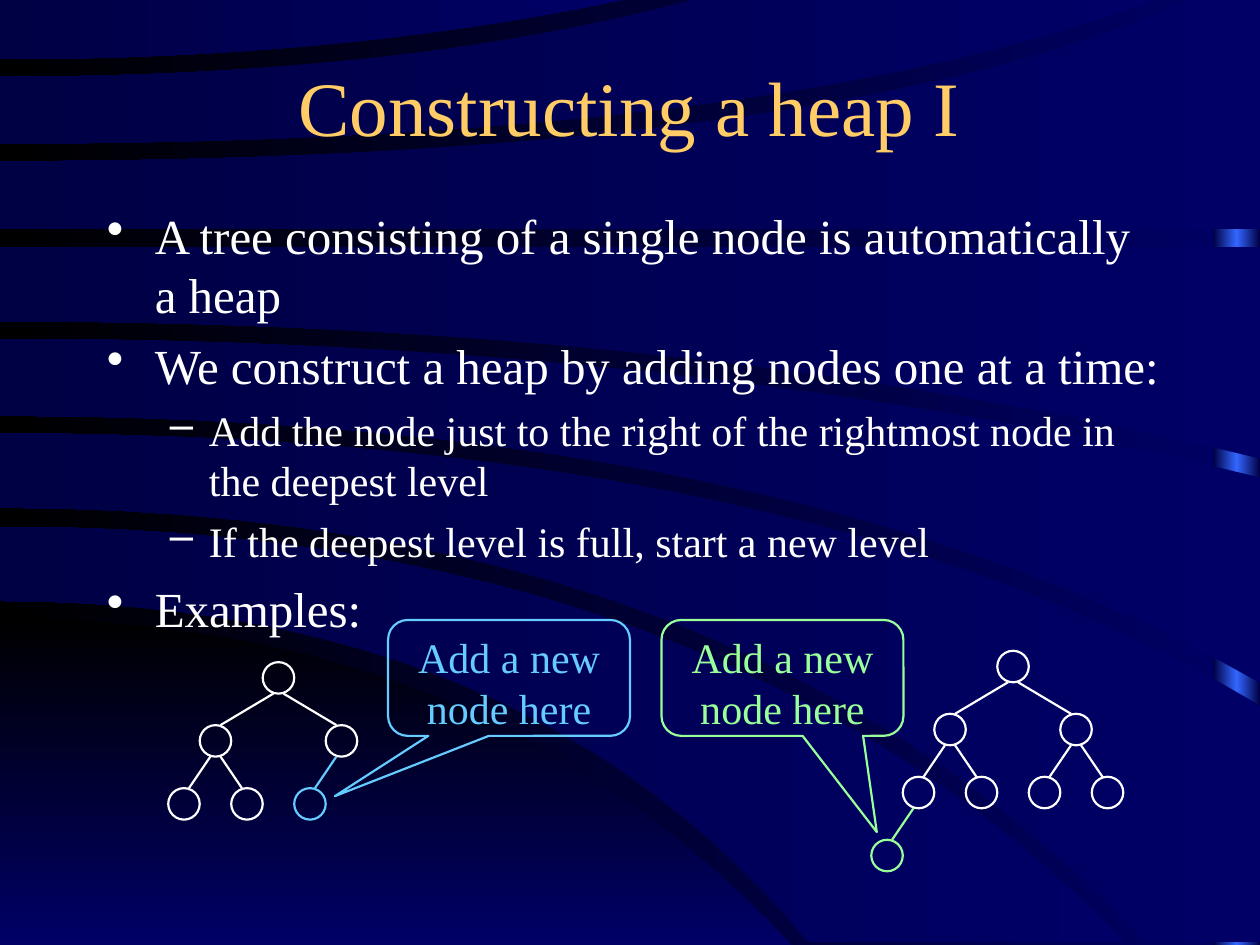
from copy import deepcopy
from dataclasses import dataclass

from lxml import etree
from pptx import Presentation
from pptx.dml.color import RGBColor
from pptx.dml.fill import FillFormat
from pptx.enum.shapes import MSO_CONNECTOR, MSO_SHAPE
from pptx.enum.text import MSO_ANCHOR, PP_ALIGN
from pptx.oxml.ns import qn
from pptx.shapes.autoshape import Shape
from pptx.slide import Slide
from pptx.text.text import TextFrame
from pptx.util import Inches, Pt

RECTANGLE, OVAL = MSO_SHAPE.RECTANGLE, MSO_SHAPE.OVAL
CALLOUT = MSO_SHAPE.ROUNDED_RECTANGULAR_CALLOUT
STRAIGHT = MSO_CONNECTOR.STRAIGHT
TOP, MIDDLE = MSO_ANCHOR.TOP, MSO_ANCHOR.MIDDLE
LEFT, CENTER = PP_ALIGN.LEFT, PP_ALIGN.CENTER

BLACK = RGBColor(0x00, 0x00, 0x00)
WHITE = RGBColor(0xFF, 0xFF, 0xFF)
NAVY = RGBColor(0x00, 0x00, 0x66)
DEEP_NAVY = RGBColor(0x00, 0x00, 0x44)
BRIGHT_BLUE = RGBColor(0x33, 0x66, 0xFF)
GOLD = RGBColor(0xFF, 0xCC, 0x66)
SKY = RGBColor(0x66, 0xCC, 0xFF)
MINT = RGBColor(0x99, 0xFF, 0x99)

FONT = "Times New Roman"
LINE_WIDTH = Pt(1.25)
NODE_SIZE = 0.25
LEVEL_GAP = 0.5
SPREADS = (0, 0.5, 0.25, 0.25)
EDGE_INSET = 0.04
CURVE_STEPS = 24

Point = tuple[float, float]


@dataclass(frozen=True)
class Curve:
    start_y: float
    bend_x: float
    end_x: float
    end_y: float

    def points(self) -> list[Point]:
        steps = [step / CURVE_STEPS for step in range(CURVE_STEPS + 1)]
        return [(2 * t * (1 - t) * self.bend_x + t * t * self.end_x,
                 self.start_y + t * t * (self.end_y - self.start_y)) for t in steps]


@dataclass(frozen=True)
class Band:
    upper: Curve
    lower: Curve
    start: RGBColor = NAVY
    end: RGBColor = DEEP_NAVY
    angle: int = 180

    def points(self) -> list[Point]:
        rising = self.upper.end_y < self.upper.start_y
        pick_y = min if rising else max
        corner = (max(self.upper.end_x, self.lower.end_x),
                  pick_y(self.upper.end_y, self.lower.end_y))
        return [*self.upper.points(), corner, *reversed(self.lower.points())]


@dataclass(frozen=True)
class Bullet:
    text: str
    level: int = 0


@dataclass(frozen=True)
class BulletStyle:
    mark: str
    size: int
    before: int
    margin: float
    hanging: float


@dataclass(frozen=True)
class Example:
    root: Point
    old_nodes: int
    callout_left: float
    pointer: Point
    accent: RGBColor


BANDS = (
    Band(Curve(4.91, 3.9, 6.28, 7.5), Curve(7.5, 3, 6.28, 7.5), BLACK, NAVY, 270),
    Band(Curve(4.18, 5.74, 8.93, 7.48), Curve(4.77, 4.19, 6.42, 7.48)),
    Band(Curve(3.44, 6.4, 10, 5.6), Curve(4.03, 5.9, 9.09, 7.48)),
    Band(Curve(2.69, 5.5, 10, 3.79), Curve(3.3, 6.3, 10, 5.42)),
    Band(Curve(1.96, 5, 10, 1.96), Curve(2.55, 5.6, 10, 3.64)),
    Band(Curve(1.28, 6.6, 9.43, 0), Curve(1.82, 5, 10, 1.82)),
    Band(Curve(0.61, 3.25, 5.5, 0), Curve(1.14, 6.1, 9.17, 0)),
    Band(Curve(0, 2.5, 4.95, 0), Curve(0.47, 2.7, 4.95, 0)),
)
BULLETS = (
    Bullet("A tree consisting of a single node is automatically a heap"),
    Bullet("We construct a heap by adding nodes one at a time:"),
    Bullet("Add the node just to the right of the rightmost node in the deepest level", 1),
    Bullet("If the deepest level is full, start a new level", 1),
    Bullet("Examples:"),
)
BULLET_STYLES = (BulletStyle("•", 28, 7, 0.38, 0.38), BulletStyle("–", 24, 6, 0.81, 0.31))
EXAMPLES = (
    Example((2.21, 5.38), 5, 3.08, (-0.72, 1.02), SKY),
    Example((8.04, 5.29), 7, 5.25, (0.39, 1.33), MINT),
)


def paint_gradient(fill: FillFormat, start: RGBColor, end: RGBColor, angle: int) -> None:
    fill.gradient()
    fill.gradient_angle = angle
    for stop, color in zip(fill.gradient_stops, (start, end)):
        stop.color.rgb = color


def draw_band(slide: Slide, band: Band) -> None:
    corners = [(Inches(x), Inches(y)) for x, y in band.points()]
    outline = slide.shapes.build_freeform(*corners[0])
    outline.add_line_segments(corners[1:], close=True)
    ribbon = outline.convert_to_shape()
    ribbon.shadow.inherit = False
    ribbon.line.fill.background()
    paint_gradient(ribbon.fill, band.start, band.end, band.angle)


def draw_side_strip(slide: Slide) -> None:
    strip = slide.shapes.add_shape(RECTANGLE, Inches(9.63), 0, Inches(0.37), Inches(7.5))
    strip.shadow.inherit = False
    strip.line.fill.background()
    paint_gradient(strip.fill, DEEP_NAVY, BRIGHT_BLUE, 180)
    stops = strip.element.spPr.find(qn("a:gradFill")).find(qn("a:gsLst"))
    stops[1].set("pos", "50000")
    last_stop = deepcopy(stops[0])
    last_stop.set("pos", "100000")
    stops.append(last_stop)


def write(frame: TextFrame, text: str, size: int, color: RGBColor, align=CENTER, anchor=TOP):
    frame.word_wrap = True
    frame.vertical_anchor = anchor
    line = frame.add_paragraph() if frame.text else frame.paragraphs[0]
    line.text = text
    line.alignment = align
    for name, value in {"name": FONT, "size": Pt(size), "bold": False}.items():
        setattr(line.font, name, value)
    line.font.color.rgb = color
    return line


def write_bullet(frame: TextFrame, bullet: Bullet) -> None:
    style = BULLET_STYLES[bullet.level]
    line = write(frame, bullet.text, style.size, WHITE, LEFT)
    for name, value in {"level": bullet.level, "space_before": Pt(style.before)}.items():
        setattr(line, name, value)
    properties = line._p.get_or_add_pPr()
    properties.set("marL", str(Inches(style.margin)))
    properties.set("indent", str(-Inches(style.hanging)))
    etree.SubElement(properties, qn("a:buChar")).set("char", style.mark)


def outline_only(shape: Shape, color: RGBColor) -> None:
    shape.shadow.inherit = False
    shape.fill.background()
    shape.line.color.rgb = color
    shape.line.width = LINE_WIDTH


def draw_edge(slide: Slide, child: Point, parent: Point, color: RGBColor) -> None:
    shift = EDGE_INSET if child[0] < parent[0] else -EDGE_INSET
    radius = NODE_SIZE / 2
    ends = (child[0] + shift, child[1] - radius, parent[0] - shift, parent[1] + radius)
    edge = slide.shapes.add_connector(STRAIGHT, *map(Inches, ends))
    edge.line.color.rgb = color
    edge.line.width = LINE_WIDTH
    etree.SubElement(edge.element.spPr, qn("a:effectLst"))


def draw_example(slide: Slide, example: Example) -> None:
    centers = [example.root]
    for index in range(example.old_nodes + 1):
        color = example.accent if index == example.old_nodes else WHITE
        if index:
            parent = centers[(index - 1) // 2]
            spread = SPREADS[(index + 1).bit_length() - 1]
            centers.append((parent[0] + (-spread if index % 2 else spread), parent[1] + LEVEL_GAP))
            draw_edge(slide, centers[index], parent, color)
        left, top = (Inches(value - NODE_SIZE / 2) for value in centers[index])
        node = slide.shapes.add_shape(OVAL, left, top, Inches(NODE_SIZE), Inches(NODE_SIZE))
        outline_only(node, color)
    callout = slide.shapes.add_shape(
        CALLOUT, Inches(example.callout_left), Inches(4.92), Inches(1.92), Inches(0.92))
    outline_only(callout, example.accent)
    for index, value in enumerate((*example.pointer, 0.17)):
        callout.adjustments[index] = value
    write(callout.text_frame, "Add a new node here", 24, example.accent)


def main() -> None:
    deck = Presentation()
    deck.slide_width, deck.slide_height = Inches(10), Inches(7.5)
    slide = deck.slides.add_slide(deck.slide_layouts[5])
    paint_gradient(slide.background.fill, NAVY, BLACK, 180)
    draw_side_strip(slide)
    for band in BANDS:
        draw_band(slide, band)
    title = slide.shapes.title
    slide.shapes.element.append(title.element)
    place = {"left": 0.33, "top": 0.42, "width": 9.33, "height": 0.83}
    for name, value in place.items():
        setattr(title, name, Inches(value))
    write(title.text_frame, "Constructing a heap I", 44, GOLD, anchor=MIDDLE)
    body = slide.shapes.add_textbox(Inches(0.75), Inches(1.58), Inches(8.58), Inches(3.83))
    for bullet in BULLETS:
        write_bullet(body.text_frame, bullet)
    for example in EXAMPLES:
        draw_example(slide, example)
    deck.save("out.pptx")


if __name__ == "__main__":
    main()
